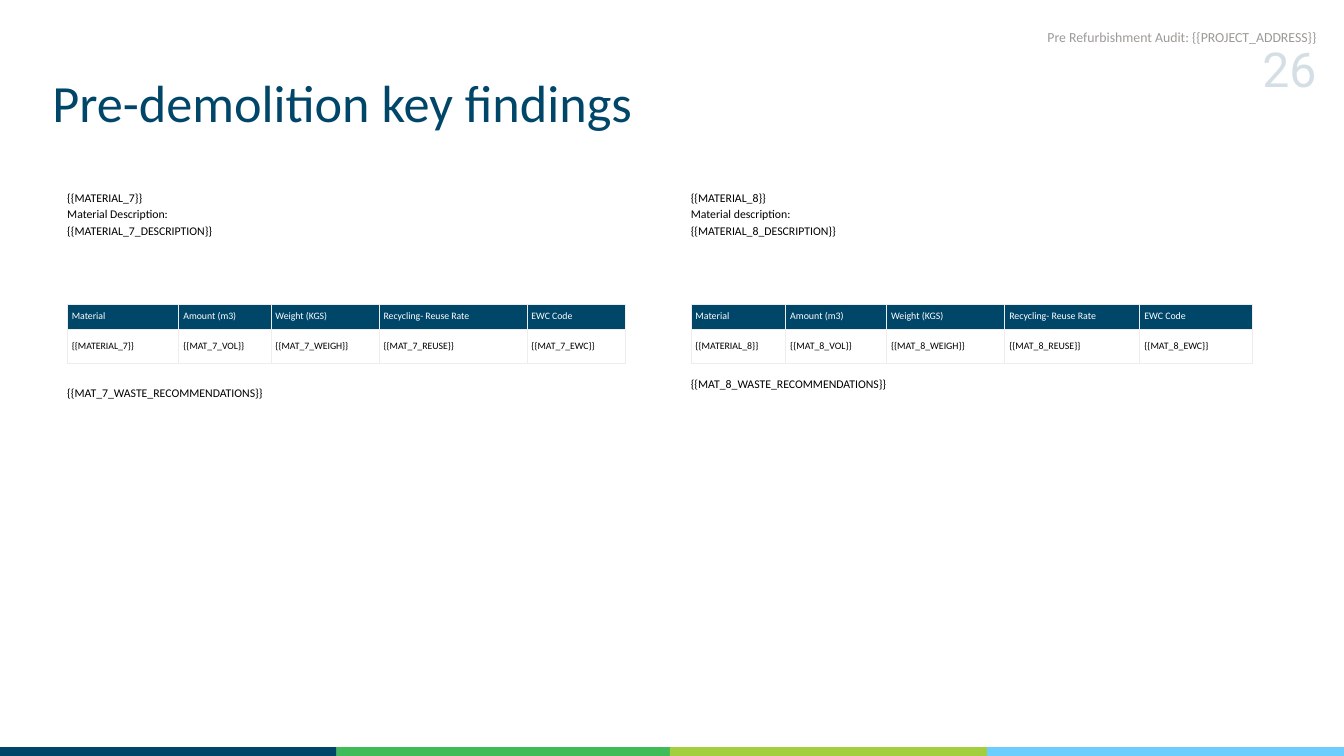
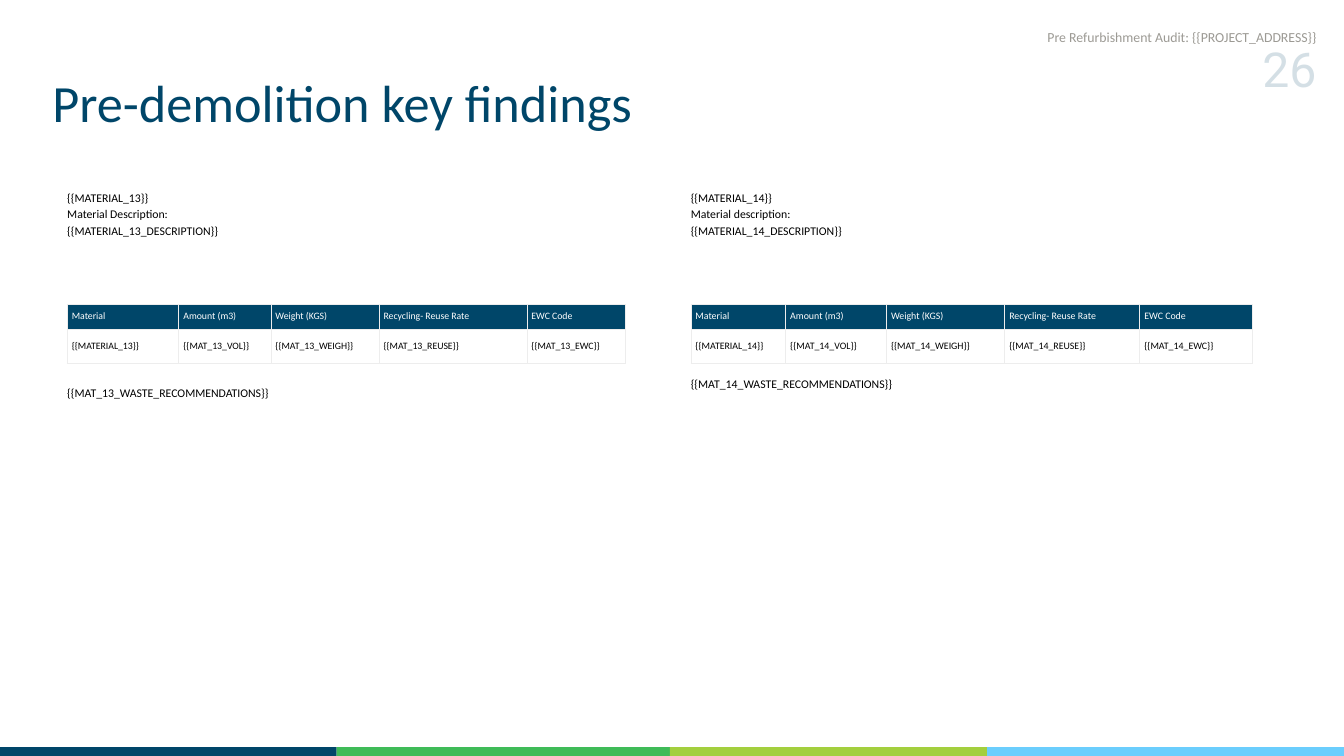
import pptx
import pptx.util
import pptx.dml.color
import pptx.enum.shapes
import pptx.enum.text
import pptx.oxml
import pptx.oxml.ns
import lxml.etree

Inches = pptx.util.Inches
Pt = pptx.util.Pt
ALIGN = pptx.enum.text.PP_ALIGN
ANCHOR = pptx.enum.text.MSO_ANCHOR
qn = pptx.oxml.ns.qn

COLORS = {
    "navy": "004669",
    "green": "3FBB58",
    "lime": "A3CF3E",
    "sky": "6BCEFD",
    "grid": "EDEDED",
    "grey": "9C9A94",
    "black": "000000",
    "white": "FFFFFF",
}
TITLE = "Pre-demolition key findings"
RUNNING_HEAD = "Pre Refurbishment Audit: {{PROJECT_ADDRESS}}"
PAGE_NUMBER = "26"
MATERIAL_PAIRS = [(7, 8), (13, 14)]
TABLE_HEADINGS = ["Material", "Amount (m3)", "Weight (KGS)",
                  "Recycling- Reuse Rate", "EWC Code"]
CODE_FIELDS = ["VOL", "WEIGH", "REUSE", "EWC"]
ROW_HEIGHTS = [0.37, 0.51]
BAND_EDGES = [0, 5.01, 9.97, 14.69, 20.17]
BAND_COLORS = ["navy", "green", "lime", "sky"]

# What differs between the left and right halves of a page
LEFT_HALF = {
    "box": (1, 2.8, 8.31), "label": "Material Description:", "advice_drop": 2.91,
    "columns": [1.66, 1.37, 1.61, 2.2, 1.47],
    "leading": 17.6, "cell_size": 10.5, "cell_leading": 11.3,
}
RIGHT_HALF = {
    "box": (10.28, 2.8, 8.35), "label": "Material description:", "advice_drop": 2.77,
    "columns": [1.41, 1.5, 1.76, 2.01, 1.67],
    "leading": 17.7, "cell_size": 10.6, "cell_leading": 11.4,
}


def rgb(name):
    return pptx.dml.color.RGBColor.from_string(COLORS[name])


def write_text(frame, lines, size, leading, color="black", font="Calibri",
               align=ALIGN.LEFT, anchor=ANCHOR.TOP, margin=0):
    """Fill a text frame, one paragraph per line."""
    frame.word_wrap = True
    frame.vertical_anchor = anchor
    frame.margin_left = frame.margin_right = Inches(margin)
    frame.margin_top = frame.margin_bottom = Inches(margin)
    for index, line in enumerate(lines):
        para = frame.add_paragraph() if index else frame.paragraphs[0]
        para.alignment = align
        para.line_spacing = Pt(leading)
        para.space_before = para.space_after = Pt(0)
        span = para.add_run()
        span.text = line
        span.font.size = Pt(size)
        span.font.name = font
        span.font.color.rgb = rgb(color)


def add_text(page, box, lines, **text_format):
    shape = page.shapes.add_textbox(*map(Inches, box))
    write_text(shape.text_frame, lines, **text_format)
    return shape


def add_title(page, box):
    title = page.shapes.title
    title.left, title.top, title.width, title.height = map(Inches, box)
    title.text_frame.auto_size = pptx.enum.text.MSO_AUTO_SIZE.NONE
    write_text(title.text_frame, [TITLE], size=56, leading=78.4, color="navy")


def add_page_header(page, box):
    """Running head and pale page number, both flush right in the box."""
    left, top, width = box
    number_width = 1.17
    number = add_text(page, (left + width - number_width, top + 0.05, number_width, 1.11),
                      [PAGE_NUMBER], size=51.6, leading=72.3, color="navy",
                      font="Roboto", align=ALIGN.RIGHT)
    for color in number.element.iter(qn("a:srgbClr")):
        lxml.etree.SubElement(color, qn("a:alpha"), val="17000")
    add_text(page, (left, top, width, 0.3), [RUNNING_HEAD], size=14.8,
             leading=20.6, color="grey", align=ALIGN.RIGHT)


def add_footer_band(page, top, height):
    for left, right, color in zip(BAND_EDGES, BAND_EDGES[1:], BAND_COLORS):
        band = page.shapes.add_shape(
            pptx.enum.shapes.MSO_SHAPE.RECTANGLE,
            *map(Inches, (left, top, right - left, height)))
        band.shadow.inherit = False
        band.fill.solid()
        band.fill.fore_color.rgb = rgb(color)
        band.line.fill.background()


def add_borders(cell):
    properties = cell._tc.get_or_add_tcPr()
    for side in ("lnL", "lnR", "lnT", "lnB"):
        line = lxml.etree.SubElement(properties, qn("a:" + side), w=str(Pt(0.66)))
        fill = lxml.etree.SubElement(line, qn("a:solidFill"))
        lxml.etree.SubElement(fill, qn("a:srgbClr"), val=COLORS["grid"])


def add_material_table(page, box, number, half):
    values = [f"{{{{MATERIAL_{number}}}}}"]
    values += [f"{{{{MAT_{number}_{field}}}}}" for field in CODE_FIELDS]
    rows = [TABLE_HEADINGS, values]
    table = page.shapes.add_table(len(rows), len(values), *map(Inches, box)).table
    for column, width in zip(table.columns, half["columns"]):
        column.width = Inches(width)
    for row, height in zip(table.rows, ROW_HEIGHTS):
        row.height = Inches(height)
    for row_index, texts in enumerate(rows):
        is_heading = row_index == 0
        for column_index, text in enumerate(texts):
            cell = table.cell(row_index, column_index)
            add_borders(cell)
            if is_heading:
                cell.fill.solid()
                cell.fill.fore_color.rgb = rgb("navy")
            else:
                cell.fill.background()
            write_text(cell.text_frame, [text], size=half["cell_size"],
                       leading=half["cell_leading"], margin=0.07,
                       color="white" if is_heading else "black")
            # Cell margins and anchor belong to the cell itself
            cell.margin_left = cell.margin_right = Inches(0.07)
            cell.margin_top = cell.margin_bottom = Inches(0.07)
            cell.vertical_anchor = ANCHOR.MIDDLE


def add_material(page, number, half):
    """Description, table and waste advice of one material."""
    left, top, width = half["box"]
    body = {"size": 12.6, "leading": half["leading"]}
    add_text(page, (left, top, width, 1.2),
             [f"{{{{MATERIAL_{number}}}}}", half["label"],
              f"{{{{MATERIAL_{number}_DESCRIPTION}}}}"], **body)
    add_material_table(page, (left, top + 1.73, width, sum(ROW_HEIGHTS)), number, half)
    add_text(page, (left, top + half["advice_drop"], width, 0.49),
             [f"{{{{MAT_{number}_WASTE_RECOMMENDATIONS}}}}"], **body)


def add_findings_page(deck, left_number, right_number):
    page = deck.slides.add_slide(deck.slide_layouts.get_by_name("Title Only"))
    add_material(page, left_number, LEFT_HALF)
    add_material(page, right_number, RIGHT_HALF)
    add_title(page, (0.78, 0.89, 12.5, 1.17))
    add_footer_band(page, 11.12, 0.26)
    add_page_header(page, (12.2, 0.39, 7.39))


def main():
    deck = pptx.Presentation()
    deck.slide_width = Inches(20)
    deck.slide_height = Inches(11.25)
    for left_number, right_number in MATERIAL_PAIRS:
        add_findings_page(deck, left_number, right_number)
    deck.save("out.pptx")


if __name__ == "__main__":
    main()
